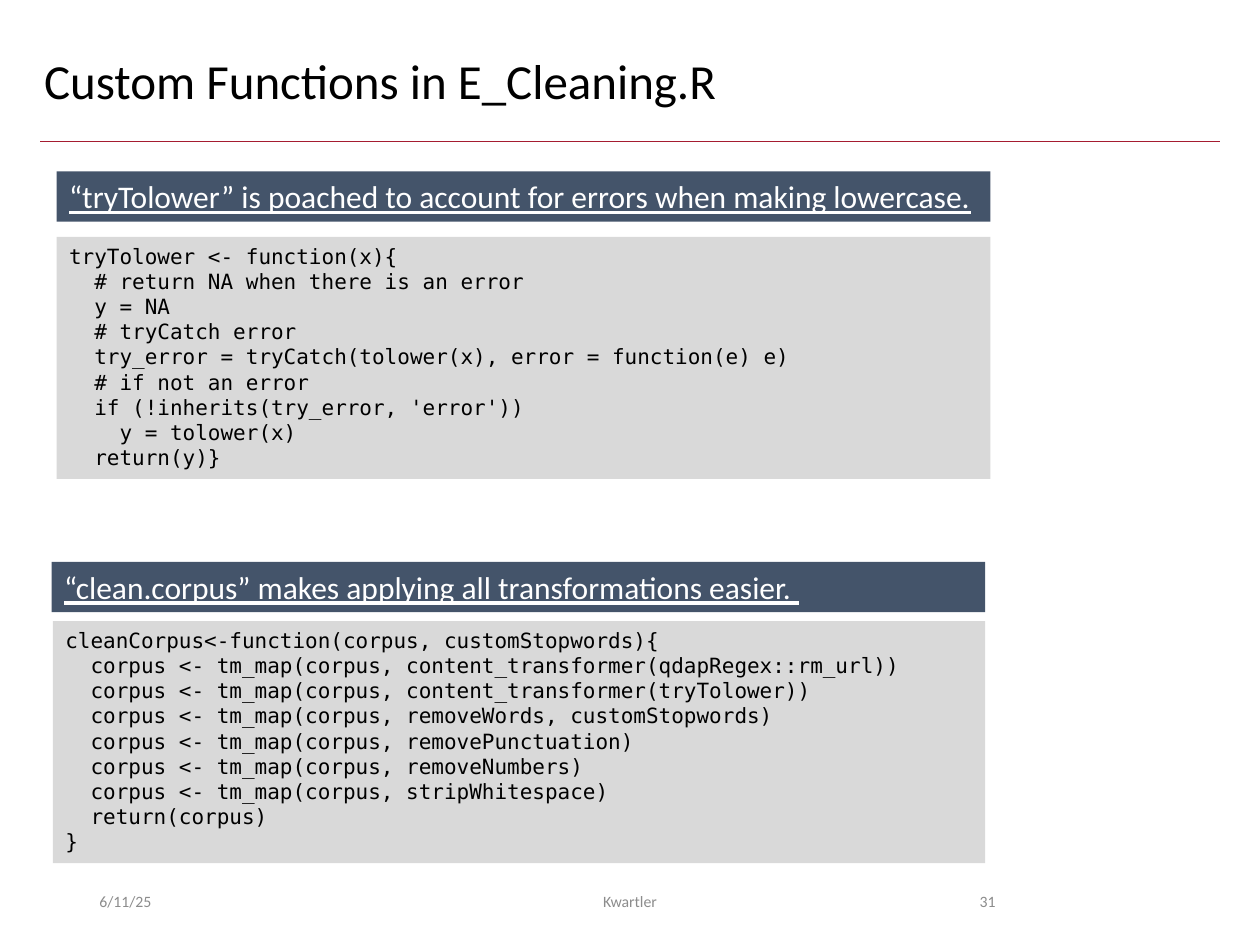
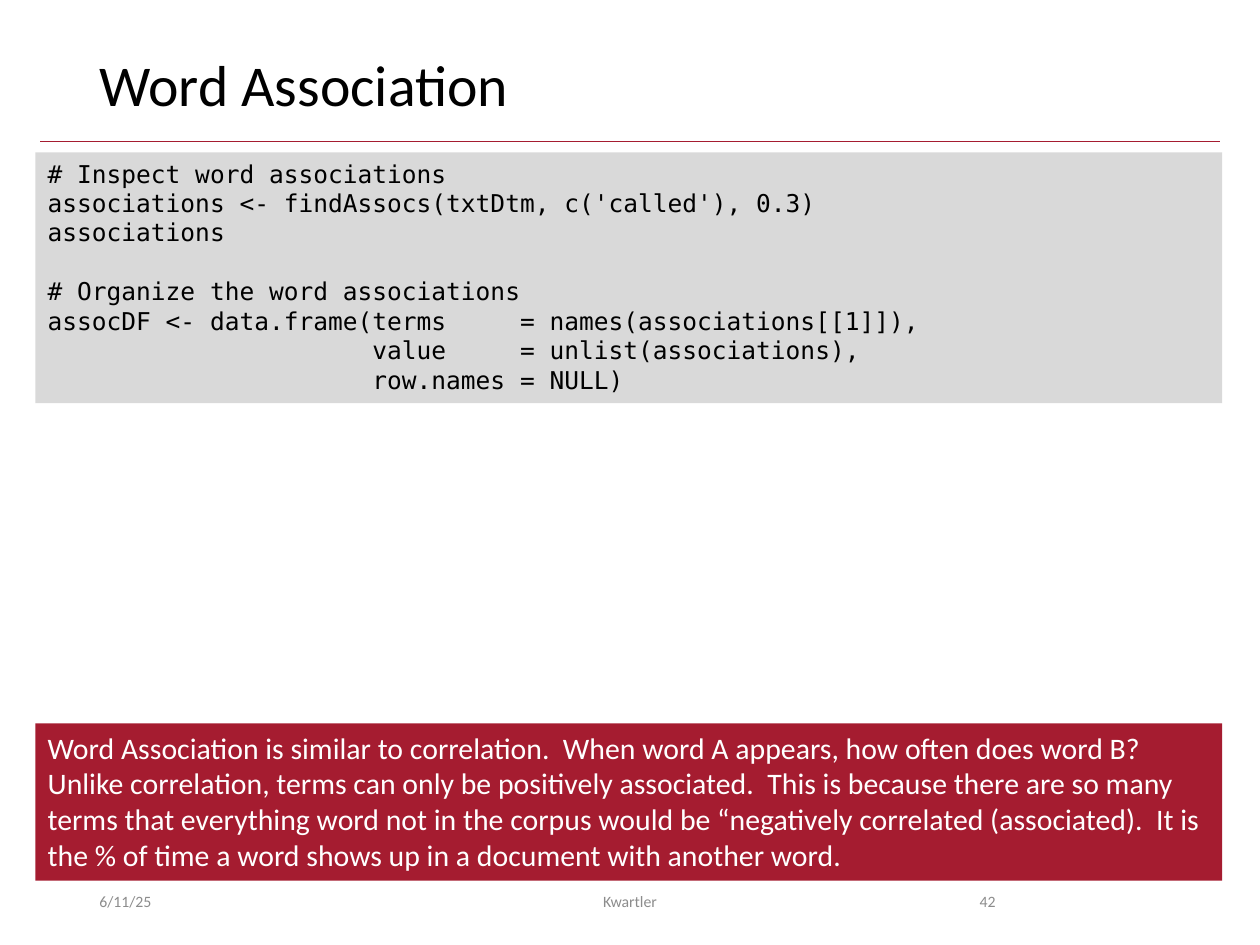
from lxml.etree import SubElement
from pptx import Presentation
from pptx.dml.color import RGBColor
from pptx.enum.shapes import MSO_CONNECTOR, MSO_SHAPE
from pptx.enum.text import MSO_ANCHOR, MSO_AUTO_SIZE, PP_ALIGN
from pptx.oxml.ns import qn
from pptx.util import Inches, Pt

HUES = {"ink": "000000", "paper": "FFFFFF", "grey": "8C8C8C",
        "code": "D9D9D9", "slate": "44546A", "red": "A51C30"}
SANS, MONO = "Calibri", "DejaVu Sans Mono"
COLS, ROWS = 100, 75  # grid of the slide; one cell is a tenth of an inch

LOWER = """tryTolower <- function(x){
  # return NA when there is an error
  y = NA
  # tryCatch error
  try_error = tryCatch(tolower(x), error = function(e) e)
  # if not an error
  if (!inherits(try_error, 'error'))
    y = tolower(x)
  return(y)}"""

CLEAN = """cleanCorpus<-function(corpus, customStopwords){
  corpus <- tm_map(corpus, content_transformer(qdapRegex::rm_url))
  corpus <- tm_map(corpus, content_transformer(tryTolower))
  corpus <- tm_map(corpus, removeWords, customStopwords)
  corpus <- tm_map(corpus, removePunctuation)
  corpus <- tm_map(corpus, removeNumbers)
  corpus <- tm_map(corpus, stripWhitespace)
  return(corpus)
}"""

ASSOC = """# Inspect word associations
associations <- findAssocs(txtDtm, c('called'), 0.3)
associations

# Organize the word associations
assocDF <- data.frame(terms     = names(associations[[1]]),
                      value     = unlist(associations),
                      row.names = NULL)"""

NOTE = ("Word Association is similar to correlation.  When word A appears, "
        "how often does word B?  Unlike correlation, terms can only be "
        "positively associated.  This is because there are so many terms that "
        "everything word not in the corpus would be “negatively correlated "
        "(associated).  It is the % of time a word shows up in a document "
        "with another word.")


def hue(name):
    return RGBColor.from_string(HUES[name])


def cells(count):
    return Inches(count / 10)


def write(shape, text, size, color, font=SANS, align=PP_ALIGN.LEFT,
          anchor=MSO_ANCHOR.TOP, under=None, space=None):
    frame = shape.text_frame
    frame.text = text
    frame.word_wrap = True
    frame.auto_size = MSO_AUTO_SIZE.NONE
    frame.vertical_anchor = anchor
    for para in frame.paragraphs:
        para.alignment = align
        para.line_spacing = space
        para.font.size = Pt(size)
        for run in para.runs:
            run.font.name = font
            run.font.size = Pt(size)
            run.font.color.rgb = hue(color)
            run.font.underline = under


def panel(slide, box, fill, text, size, color="paper", **style):
    shape = slide.shapes.add_shape(MSO_SHAPE.RECTANGLE, *map(cells, box))
    shape.shadow.inherit = False
    shape.fill.solid()
    shape.fill.fore_color.rgb = hue(fill)
    shape.line.fill.background()
    write(shape, text, size, color, **style)


def rule(slide, left, right, top):
    line = slide.shapes.add_connector(
        MSO_CONNECTOR.STRAIGHT, *map(cells, (left, top, right, top)))
    line.line.color.rgb = hue("red")
    line.line.width = Pt(0.5)
    SubElement(line._element.spPr, qn("a:effectLst"))


def footer(slide, number, top=69.5, tall=4):
    parts = ((6.9, 22.5, "6/11/25", PP_ALIGN.LEFT),
             (33.1, 33.8, "Kwartler", PP_ALIGN.CENTER),
             (70.6, 9.4, number, PP_ALIGN.RIGHT))
    for left, wide, text, align in parts:
        box = slide.shapes.add_textbox(*map(cells, (left, top, wide, tall)))
        write(box, text, 9, "grey", align=align, anchor=MSO_ANCHOR.MIDDLE)


def base(deck, title, left, wide, size, number):
    """Start a slide with the shared title, rule and footer."""
    slide = deck.slides.add_slide(deck.slide_layouts[5])
    head = slide.shapes.title
    head.left, head.top, head.width, head.height = map(
        cells, (left, 4, wide, 6.5))
    write(head, title, size, "ink", space=0.9)
    rule(slide, 3.2, COLS - 3.2, 11.2)
    footer(slide, number)
    return slide


def block(slide, box, head, code, gap, inset=0):
    """Heading bar over a code panel, both inside the box."""
    left, top, wide, tall = box
    bar = 4
    panel(slide, (left, top, wide, bar), "slate", head, 18, under=True)
    panel(slide, (left + inset, top + bar + gap, wide - inset,
                  tall - bar - gap), "code", code, 12, "ink", font=MONO)


def custom(deck):
    slide = base(deck, "Custom Functions in E_Cleaning.R", 2.5, 94.7, 28, "31")
    block(slide, (4.5, 13.6, 74.1, 24.4),
          "“tryTolower” is poached to account for errors when making "
          "lowercase.", LOWER, 1.2)
    block(slide, (4.1, 44.6, 74.1, 23.9),
          "“clean.corpus” makes applying all transformations easier. ",
          CLEAN, 0.7, 0.1)


def words(deck):
    slide = base(deck, "Word Association", 6.9, 86.2, 33, "42")
    left, wide = 2.8, 94.2
    panel(slide, (left, 12.1, wide, 19.9), "code", ASSOC, 14, "ink", font=MONO)
    panel(slide, (left, 57.4, wide, 12.5), "red", NOTE, 17)


def main():
    deck = Presentation()
    deck.slide_width, deck.slide_height = cells(COLS), cells(ROWS)
    custom(deck)
    words(deck)
    deck.save("out.pptx")


if __name__ == "__main__":
    main()
